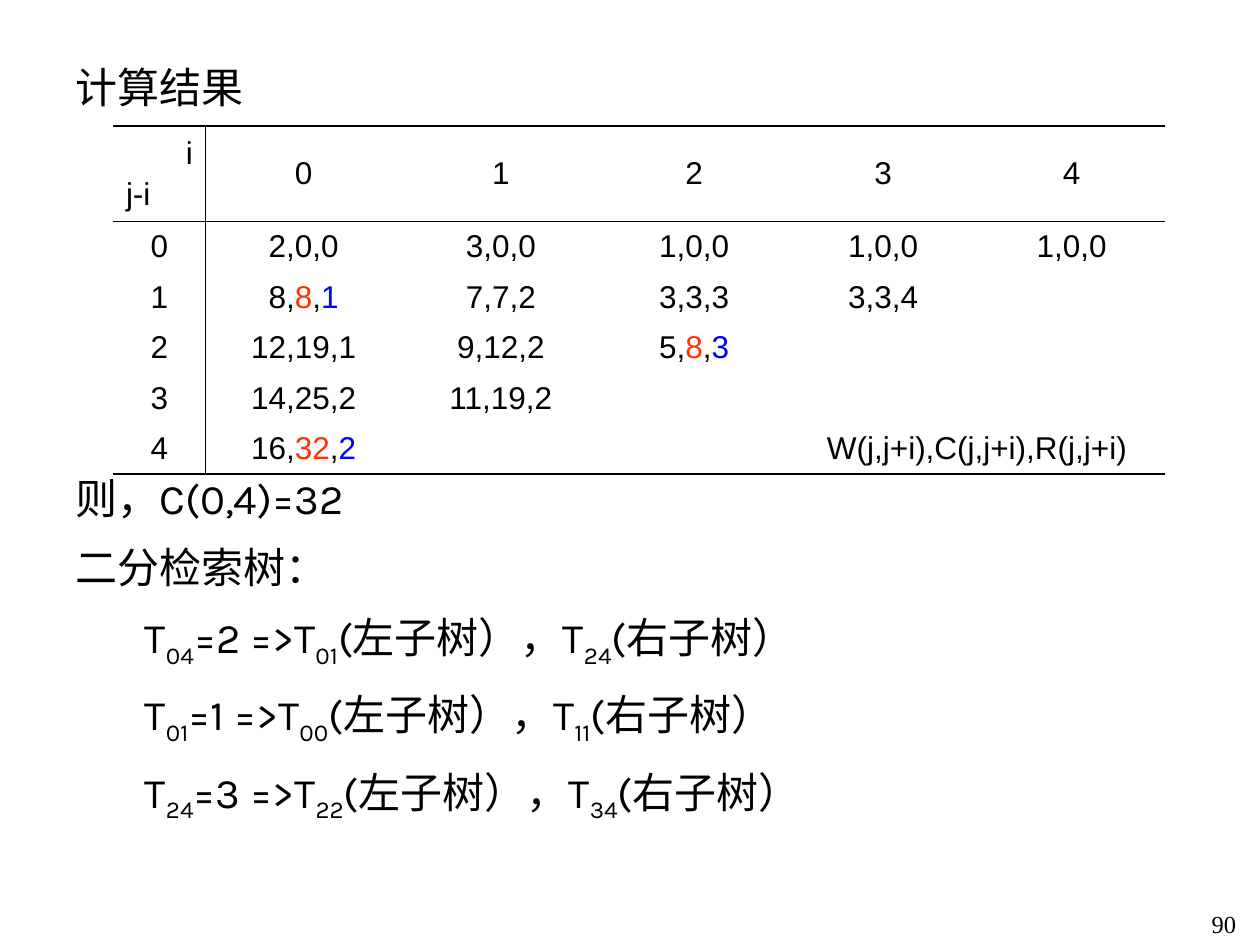
from lxml.etree import SubElement
from pptx import Presentation
from pptx.dml.color import RGBColor
from pptx.enum.text import MSO_ANCHOR, MSO_AUTO_SIZE, PP_ALIGN
from pptx.oxml import parse_xml
from pptx.oxml.ns import nsdecls, qn
from pptx.util import Inches, Pt

BLACK, RED, BLUE = "000000", "FF3300", "0000FF"


def paint(color, code):
    color.rgb = RGBColor.from_string(code)


def edge(side, shown):
    fill = f'<a:solidFill><a:srgbClr val="{BLACK}"/></a:solidFill>' if shown else "<a:noFill/>"
    return parse_xml(f'<a:ln{side} {nsdecls("a")} w="12700">{fill}</a:ln{side}>')


class Page:
    def __init__(self, slide, font, size):
        self.slide, self.font, self.size = slide, font, size

    def run(self, para, text, color=BLACK, font=None, size=None, sub=False):
        run = para.add_run()
        run.text = text
        run.font.name = font or self.font
        run.font.size = Pt(size or self.size)
        paint(run.font.color, color)
        if sub:
            run.font._element.set("baseline", "-25000")

    def body(self, box, lines):
        holder = self.slide.placeholders[1]
        holder.left, holder.top, holder.width, holder.height = map(Inches, box)
        frame = holder.text_frame
        frame.auto_size = MSO_AUTO_SIZE.NONE
        for num, (before, space, left, runs) in enumerate(lines):
            para = frame.add_paragraph() if num else frame.paragraphs[0]
            props = para._p.get_or_add_pPr()
            props.set("marL", str(Inches(left)))
            props.set("indent", "0")
            para.line_spacing = space
            para.space_before = Pt(before)
            SubElement(props, qn("a:buNone"))
            for text, sub in runs:
                self.run(para, text, sub=sub)

    def note(self, box, text, font, size):
        frame = self.slide.shapes.add_textbox(*map(Inches, box)).text_frame
        frame.word_wrap = True
        frame.vertical_anchor = MSO_ANCHOR.BOTTOM
        para = frame.paragraphs[0]
        para.alignment = PP_ALIGN.RIGHT
        self.run(para, text, font=font, size=size)

    def cell(self, cell, lines, sides):
        cell.fill.background()
        cell.vertical_anchor = MSO_ANCHOR.MIDDLE
        for num, (align, runs) in enumerate(lines):
            para = cell.text_frame.add_paragraph() if num else cell.text_frame.paragraphs[0]
            para.alignment = align
            para.space_before = Pt(3.6 if num else 0)
            for text, color in runs:
                self.run(para, text, color, "Arial", 18)
        props = cell._tc.get_or_add_tcPr()
        for num, side in enumerate("LRTB"):
            props.insert(num, edge(side, side in sides))

    def table(self, box, cols, rows, data, merge):
        table = self.slide.shapes.add_table(len(rows), len(cols), *map(Inches, box)).table
        table.first_row = table.horz_banding = False
        for col, width in zip(table.columns, cols):
            col.width = Inches(width)
        for row, height in zip(table.rows, rows):
            row.height = Inches(height)
        for y in range(len(rows)):
            for x in range(len(cols)):
                sides = {0: "R", 1: "L"}.get(x, "")
                sides += {0: "TB", 1: "T", len(rows) - 1: "B"}.get(y, "")
                self.cell(table.cell(y, x), data.get((y, x), []), sides)
        first, last = merge
        table.cell(*first).merge(table.cell(*last))


def values(text, marked):
    parts = text.split(",")
    if not marked:
        return [(text, BLACK)]
    return [(parts[0] + ",", BLACK), (parts[1], RED), (",", BLACK), (parts[2], BLUE)]


def tree(root, key, left, right):
    return [("T", False), (root, True), (f"={key} =>T", False), (left, True),
            ("(左子树），T", False), (right, True), ("(右子树）", False)]


def main():
    deck = Presentation()
    deck.slide_width, deck.slide_height = Inches(10), Inches(7.5)
    slide = deck.slides.add_slide(deck.slide_layouts[1])
    title = slide.shapes.title._element
    title.getparent().remove(title)
    page = Page(slide, "Karla", 24)

    page.note((7.83, 7, 2.08, 0.5), "90", "Times New Roman", 14)

    trees = [("04", 2, "01", "24"), ("01", 1, "00", "11"), ("24", 3, "22", "34")]
    lines = [(0, 1, 0, [("计算结果", False)]),
             (206, 1, 0, [("则，C(0,4)=32", False)]),
             (4.8, 1.2, 0, [("二分检索树：", False)])]
    lines += [(4.8, 1.2, 0.55, tree(*item)) for item in trees]
    page.body((0.5, 0.44, 9.23, 6.26), lines)

    grid = [["", "0", "1", "2", "3", "4"],
            ["0", "2,0,0", "3,0,0", "1,0,0", "1,0,0", "1,0,0"],
            ["1", "8,8,1", "7,7,2", "3,3,3", "3,3,4"],
            ["2", "12,19,1", "9,12,2", "5,8,3"],
            ["3", "14,25,2", "11,19,2"],
            ["4", "16,32,2", "", "", "W(j,j+i),C(j,j+i),R(j,j+i)"]]
    marks = {(2, 1), (3, 3), (5, 1)}
    data = {(y, x): [(PP_ALIGN.CENTER, values(text, (y, x) in marks))]
            for y, row in enumerate(grid) for x, text in enumerate(row) if text}
    data[0, 0] = [(PP_ALIGN.RIGHT, [("i", BLACK)]), (PP_ALIGN.LEFT, [("j-i", BLACK)])]
    page.table((0.9, 1, 8.35, 2.76), [0.73, 1.56, 1.57, 1.5, 1.5, 1.49],
               [0.76] + [0.4] * 5, data, ((5, 4), (5, 5)))
    deck.save("out.pptx")


if __name__ == "__main__":
    main()
